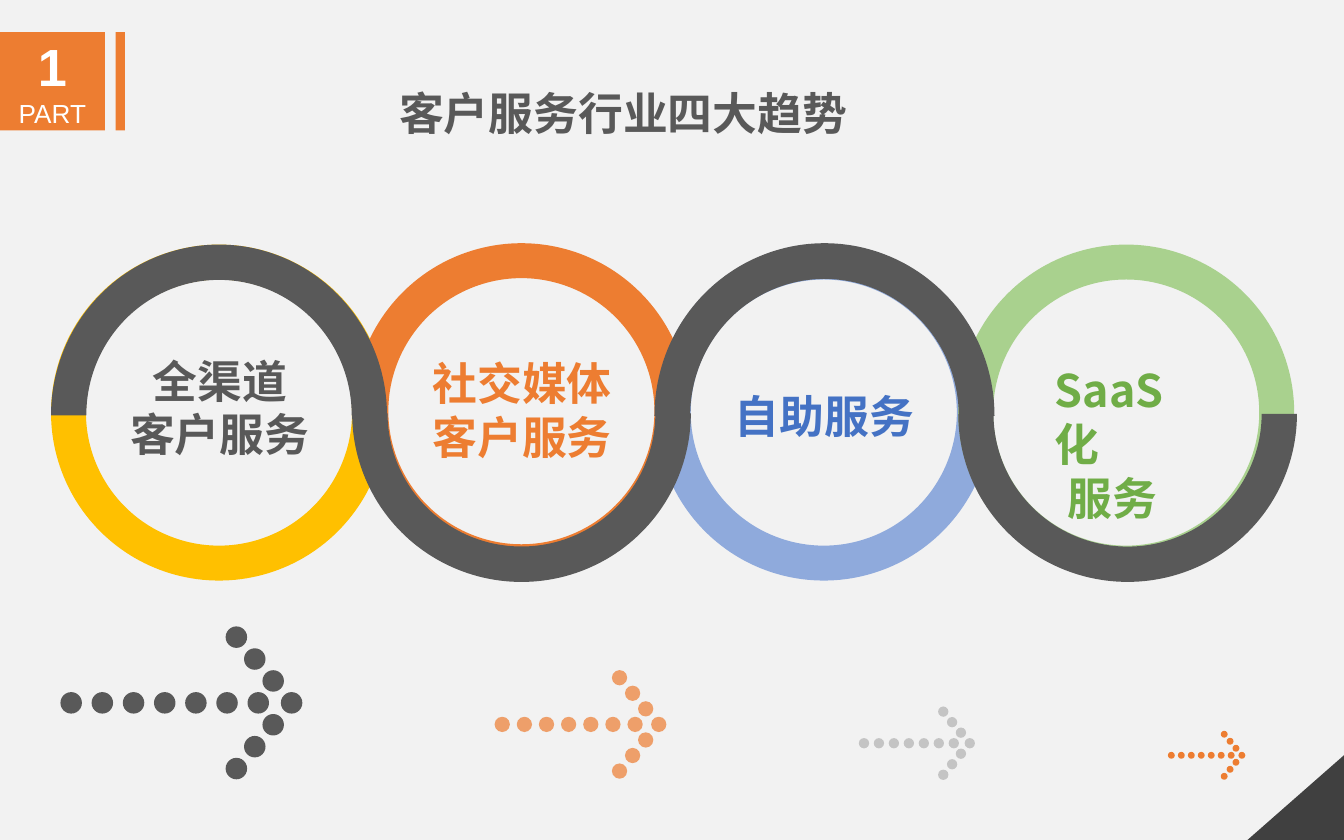
import dataclasses

import pptx
import pptx.dml.color
import pptx.enum.shapes
import pptx.enum.text
import pptx.oxml
import pptx.oxml.ns
import pptx.util

Inches = pptx.util.Inches
Shape = pptx.enum.shapes.MSO_SHAPE
Align = pptx.enum.text.PP_ALIGN
Anchor = pptx.enum.text.MSO_ANCHOR


@dataclasses.dataclass(frozen=True)
class Theme:
    background: str = "F2F2F2"
    orange: str = "ED7D31"
    dark: str = "595959"
    corner: str = "404040"
    white: str = "FFFFFF"
    yellow: str = "FFC000"
    light_blue: str = "8FAADC"
    light_green: str = "A9D18E"
    blue: str = "4472C4"
    green: str = "70AD47"
    gray: str = "808080"
    latin: str = "Arial"
    chinese: str = "Noto Sans CJK SC"
    heading_size: int = 24
    number_size: int = 28
    caption_size: int = 14


class SlideBuilder:
    def __init__(self, slide, theme):
        self.slide = slide
        self.theme = theme

    def background(self):
        fill = self.slide.background.fill
        fill.solid()
        fill.fore_color.rgb = pptx.dml.color.RGBColor.from_string(self.theme.background)

    def shape(self, kind, left, top, width, height, color, opacity=100, parent=None):
        shapes = (parent or self.slide).shapes
        shape = shapes.add_shape(kind, Inches(left), Inches(top), Inches(width), Inches(height))
        shape.shadow.inherit = False
        shape.line.fill.background()
        shape.fill.solid()
        shape.fill.fore_color.rgb = pptx.dml.color.RGBColor.from_string(color)
        if opacity < 100:
            tint = shape.element.spPr.find(".//" + pptx.oxml.ns.qn("a:srgbClr"))
            alpha = pptx.oxml.parse_xml(
                f'<a:alpha {pptx.oxml.ns.nsdecls("a")} val="{opacity * 1000}"/>')
            tint.append(alpha)
        return shape

    def run(self, para, text, size, color, font, bold=True):
        span = para.add_run()
        span.text = text
        span.font.size = pptx.util.Pt(size)
        span.font.bold = bold
        span.font.color.rgb = pptx.dml.color.RGBColor.from_string(color)
        span.font.name = font
        east_asian = pptx.oxml.parse_xml(
            f'<a:ea {pptx.oxml.ns.nsdecls("a")} typeface="{font}"/>')
        span.font._element.find(pptx.oxml.ns.qn("a:latin")).addnext(east_asian)

    def title(self, text, left, top, width, height):
        box = self.slide.shapes.title
        box.left, box.top = Inches(left), Inches(top)
        box.width, box.height = Inches(width), Inches(height)
        frame = box.text_frame
        frame.auto_size = pptx.enum.text.MSO_AUTO_SIZE.NONE
        frame.vertical_anchor = Anchor.MIDDLE
        para = frame.paragraphs[0]
        para.alignment = Align.JUSTIFY
        para.line_spacing = 0.9
        self.run(para, text, self.theme.heading_size, self.theme.dark, self.theme.chinese)

    def section_badge(self, number):
        theme = self.theme
        self.shape(Shape.RECTANGLE, 0.86, 0.24, 0.07, 0.73, theme.orange)
        badge = self.shape(Shape.RECTANGLE, 0, 0.24, 0.78, 0.73, theme.orange)
        frame = badge.text_frame
        frame.vertical_anchor = Anchor.MIDDLE
        first, second = frame.paragraphs[0], frame.add_paragraph()
        first.alignment = second.alignment = Align.CENTER
        self.run(first, number, theme.number_size, theme.white, theme.latin)
        self.run(second, "PART", theme.caption_size, theme.white, theme.latin, bold=False)

    def ring(self, left, top, size, color):
        ring = self.shape(Shape.DONUT, left, top, size, size, color)
        ring.adjustments[0] = 0.104

    def half_ring(self, left, top, width, height, upper):
        arc = self.shape(Shape.BLOCK_ARC, left, top, width, height, self.theme.dark)
        half_turn = 108  # 180 degrees in adjustment units
        arc.adjustments[0] = half_turn if upper else 0
        arc.adjustments[1] = 0 if upper else half_turn
        arc.adjustments[2] = 0.105

    def label(self, lines, left, top, width, height, color, right_inset=0.1):
        """Add one (text, alignment) pair per paragraph; the right inset sets the wrap."""
        box = self.slide.shapes.add_textbox(
            Inches(left), Inches(top), Inches(width), Inches(height))
        frame = box.text_frame
        frame.word_wrap = True
        frame.margin_right = Inches(right_inset)
        for index, (text, alignment) in enumerate(lines):
            para = frame.add_paragraph() if index else frame.paragraphs[0]
            para.alignment = alignment
            self.run(para, text, self.theme.heading_size, color, self.theme.chinese)

    def dotted_arrow(self, left, middle, scale, color, opacity):
        """Draw a shaft of seven dots, a tip, and three dots on each barb."""
        shaft = [(0.232 * step, 0) for step in range(7)]
        barbs = [(1.64 - 0.137 * step, side * 0.163 * step)
                 for step in range(1, 4) for side in (-1, 1)]
        dot = 0.16 * scale
        group = self.slide.shapes.add_group_shape()
        for x, y in shaft + [(1.64, 0)] + barbs:
            self.shape(Shape.OVAL, left + x * scale, middle + y * scale - dot / 2,
                       dot, dot, color, opacity, group)


def main():
    theme = Theme()
    deck = pptx.Presentation()
    deck.slide_width, deck.slide_height = Inches(10), Inches(6.25)
    page = SlideBuilder(deck.slides.add_slide(deck.slide_layouts[5]), theme)

    page.background()
    page.section_badge("1")
    corner = page.shape(Shape.RIGHT_TRIANGLE, 9.31, 5.57, 0.65, 0.74, theme.corner)
    corner.rotation = 270
    page.title("客户服务行业四大趋势", 2.87, 0.51, 4.38, 0.7)

    ring_colors = (theme.yellow, theme.orange, theme.light_blue, theme.light_green)
    for index, color in enumerate(ring_colors):
        page.ring(0.38 + 2.25 * index, 1.81 if index == 1 else 1.82, 2.5, color)
    half_rings = ((0.38, 1.82, 2.5, 2.54), (2.62, 1.82, 2.52, 2.51),
                  (4.87, 1.81, 2.53, 2.57), (7.13, 1.83, 2.52, 2.5))
    for index, bounds in enumerate(half_rings):
        page.half_ring(*bounds, upper=index % 2 == 0)

    center, left = Align.CENTER, Align.LEFT
    page.label([("全渠道", center), ("客户服务", center)], 0.86, 2.58, 1.55, 0.91, theme.dark)
    page.label([("社交媒体", center), ("客户服务", center)], 3.11, 2.6, 1.55, 0.91, theme.orange)
    page.label([("自助服务", left)], 5.37, 2.84, 1.55, 0.5, theme.blue)
    page.label([("SaaS化", left), ("服务", center)], 7.75, 2.65, 1.33, 0.91, theme.green, 0.37)

    arrows = ((0.45, 5.23, 1, theme.dark, 100), (3.68, 5.39, 0.71, theme.orange, 70),
              (6.39, 5.53, 0.48, theme.gray, 40), (8.69, 5.62, 0.32, theme.orange, 100))
    for arrow in arrows:
        page.dotted_arrow(*arrow)

    deck.save("out.pptx")


if __name__ == "__main__":
    main()
